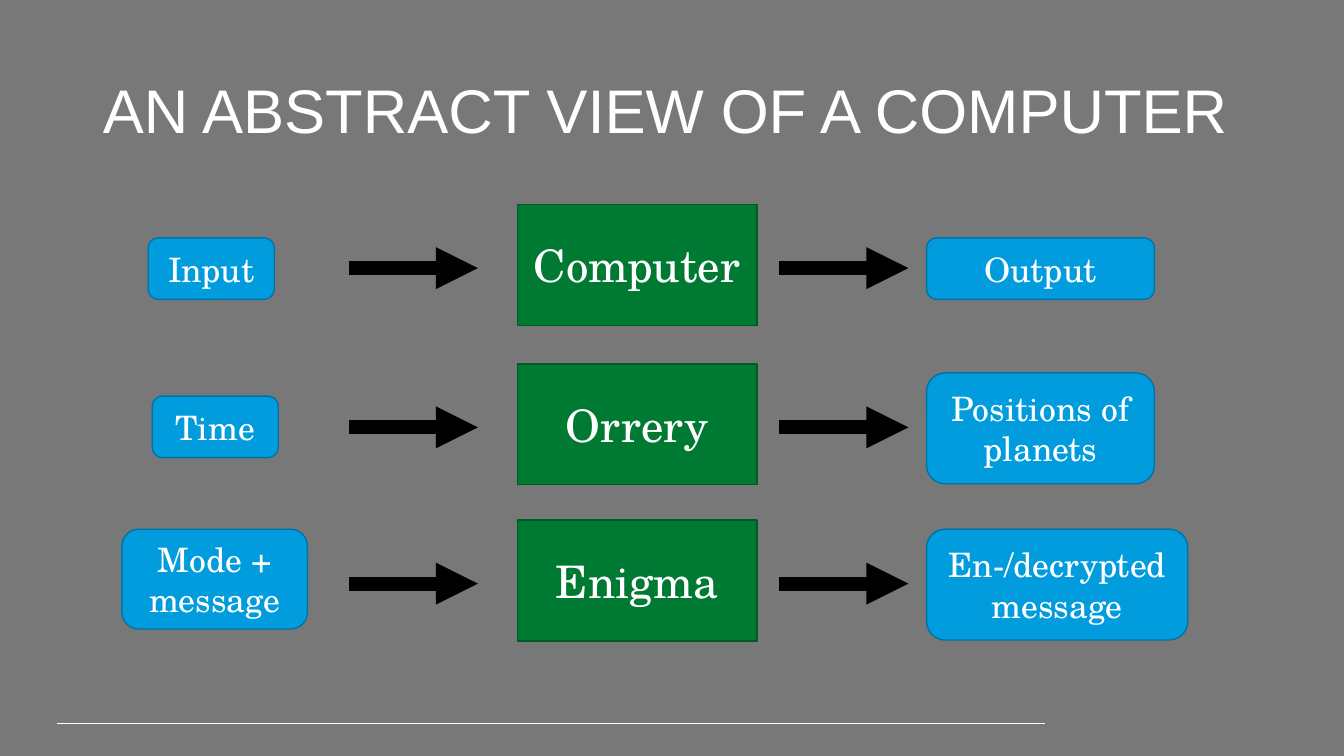
from pptx import Presentation
from pptx.dml.color import RGBColor
from pptx.enum.shapes import MSO_CONNECTOR, MSO_SHAPE
from pptx.enum.text import MSO_ANCHOR, PP_ALIGN
from pptx.oxml.ns import qn
from pptx.util import Inches, Pt
from lxml.etree import SubElement

GRAY = RGBColor(0x78, 0x78, 0x78)
WHITE = RGBColor(0xFF, 0xFF, 0xFF)
BLACK = RGBColor(0x00, 0x00, 0x00)
GREEN = RGBColor(0x00, 0x7A, 0x33)
DARK_GREEN = RGBColor(0x00, 0x5A, 0x26)
BLUE = RGBColor(0x00, 0x9C, 0xDE)
DARK_BLUE = RGBColor(0x00, 0x73, 0xA4)

MACHINE = dict(kind=MSO_SHAPE.RECTANGLE, fill=GREEN, line=DARK_GREEN, size=32)
DATA = dict(kind=MSO_SHAPE.ROUNDED_RECTANGLE, fill=BLUE, line=DARK_BLUE, size=24)

MACHINE_LEFT, MACHINE_W, MACHINE_H = 5.13, 2.38, 1.2
OUTPUT_LEFT = 9.19
ARROW_LEFTS, ARROW_W = (3.46, 7.73), 1.28

# Row top, machine, then input (text, left, dy, width, height)
# and output (text, dy, width, height), with dy measured from the row top
ROWS = [
    (2.03, "Computer", ("Input", 1.47, 0.33, 1.25, 0.61),
     ("Output", 0.33, 2.26, 0.61)),
    (3.61, "Orrery", ("Time", 1.51, 0.32, 1.25, 0.61),
     ("Positions of planets", 0.09, 2.26, 1.1)),
    (5.16, "Enigma", ("Mode + message", 1.21, 0.09, 1.84, 0.99),
     ("En-/decrypted message", 0.09, 2.59, 1.1)),
]


def set_font(font, name, size):
    font.color.rgb = WHITE
    for key, value in dict(name=name, size=Pt(size), bold=False).items():
        setattr(font, key, value)


def add_title(slide, text, left, top, width, height):
    title = slide.shapes.title
    box = dict(left=left, top=top, width=width, height=height)
    for key, value in box.items():
        setattr(title, key, Inches(value))
    tf = title.text_frame
    tf.text = text
    tf.vertical_anchor = MSO_ANCHOR.MIDDLE
    p = tf.paragraphs[0]
    p.alignment = PP_ALIGN.LEFT
    p.line_spacing = 0.9
    set_font(p.runs[0].font, "Arial", 44)


def add_box(slide, text, style, left, top, width, height):
    sp = slide.shapes.add_shape(style["kind"], Inches(left), Inches(top),
                                Inches(width), Inches(height))
    sp.shadow.inherit = False
    sp.fill.solid()
    sp.fill.fore_color.rgb = style["fill"]
    sp.line.color.rgb = style["line"]
    sp.line.width = Pt(1)
    tf = sp.text_frame
    tf.word_wrap = True
    tf.vertical_anchor = MSO_ANCHOR.MIDDLE
    p = tf.paragraphs[0]
    p.alignment = PP_ALIGN.CENTER
    r = p.add_run()
    r.text = text
    set_font(r.font, "TeX Gyre Schola", style["size"])


def add_rule(slide, left, y, width, color, weight, arrow=False):
    """Draw a horizontal line, with a triangle at its right end if arrow."""
    line = slide.shapes.add_connector(MSO_CONNECTOR.STRAIGHT, Inches(left), Inches(y),
                                      Inches(left + width), Inches(y))
    line.line.color.rgb = color
    line.line.width = Pt(weight)
    if arrow:
        SubElement(line.line._get_or_add_ln(), qn("a:tailEnd"), type="triangle")
    SubElement(line._element.spPr, qn("a:effectLst"))


def add_row(slide, top, machine, source, result):
    """Draw input, machine and output, linked by two arrows."""
    add_box(slide, machine, MACHINE, MACHINE_LEFT, top, MACHINE_W, MACHINE_H)
    text, left, dy, width, height = source
    add_box(slide, text, DATA, left, top + dy, width, height)
    text, dy, width, height = result
    add_box(slide, text, DATA, OUTPUT_LEFT, top + dy, width, height)
    for left in ARROW_LEFTS:
        add_rule(slide, left, top + 0.63, ARROW_W, BLACK, 10, arrow=True)


def main():
    prs = Presentation()
    prs.slide_width, prs.slide_height = Inches(13.33), Inches(7.5)
    slide = prs.slides.add_slide(prs.slide_layouts[5])
    slide.background.fill.solid()
    slide.background.fill.fore_color.rgb = GRAY
    add_rule(slide, 0.57, 7.18, 9.79, WHITE, 0.75)
    add_title(slide, "AN ABSTRACT VIEW OF A COMPUTER", 0.92, 0.4, 12.08, 1.45)
    for row in ROWS:
        add_row(slide, *row)
    prs.save("out.pptx")


if __name__ == "__main__":
    main()
